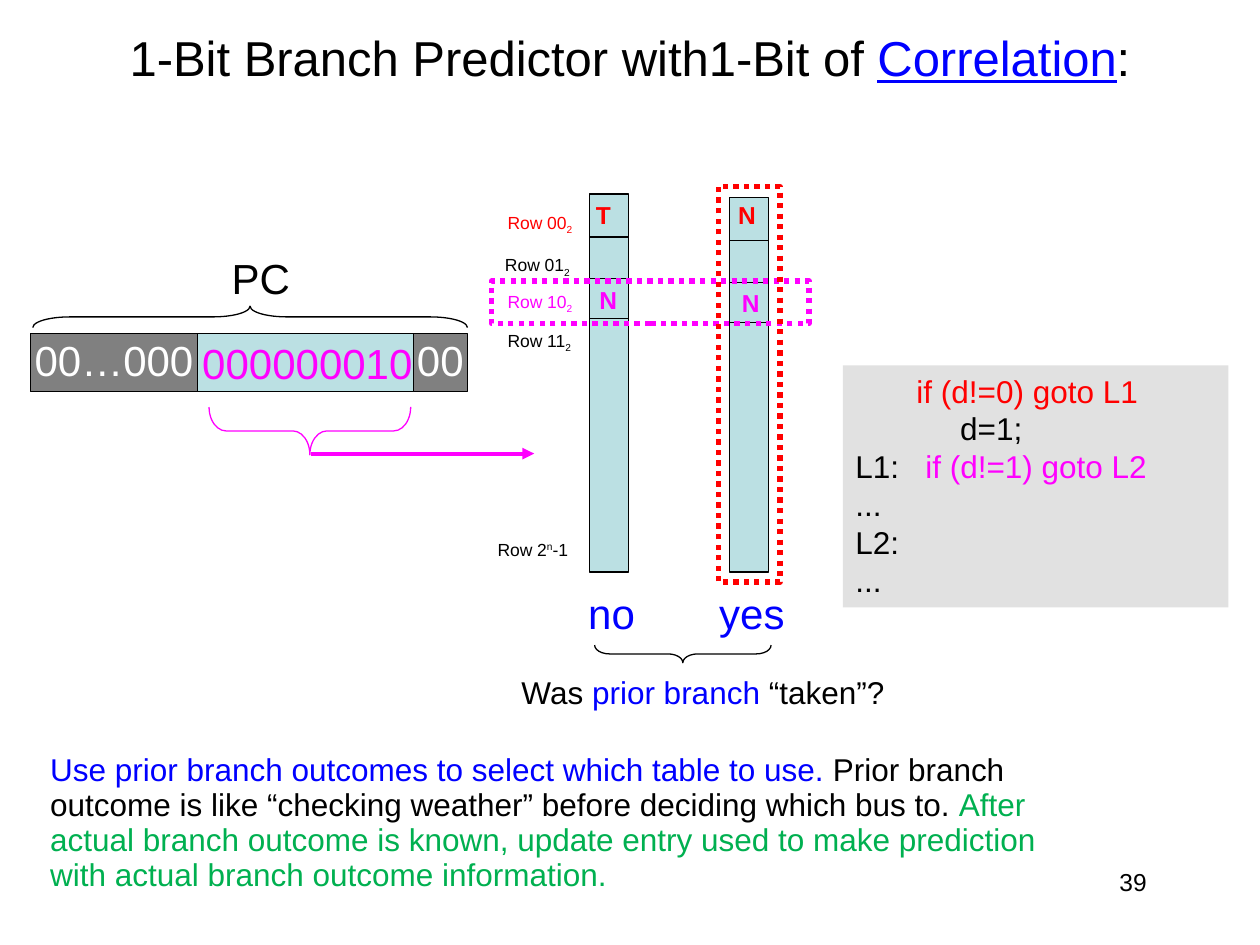
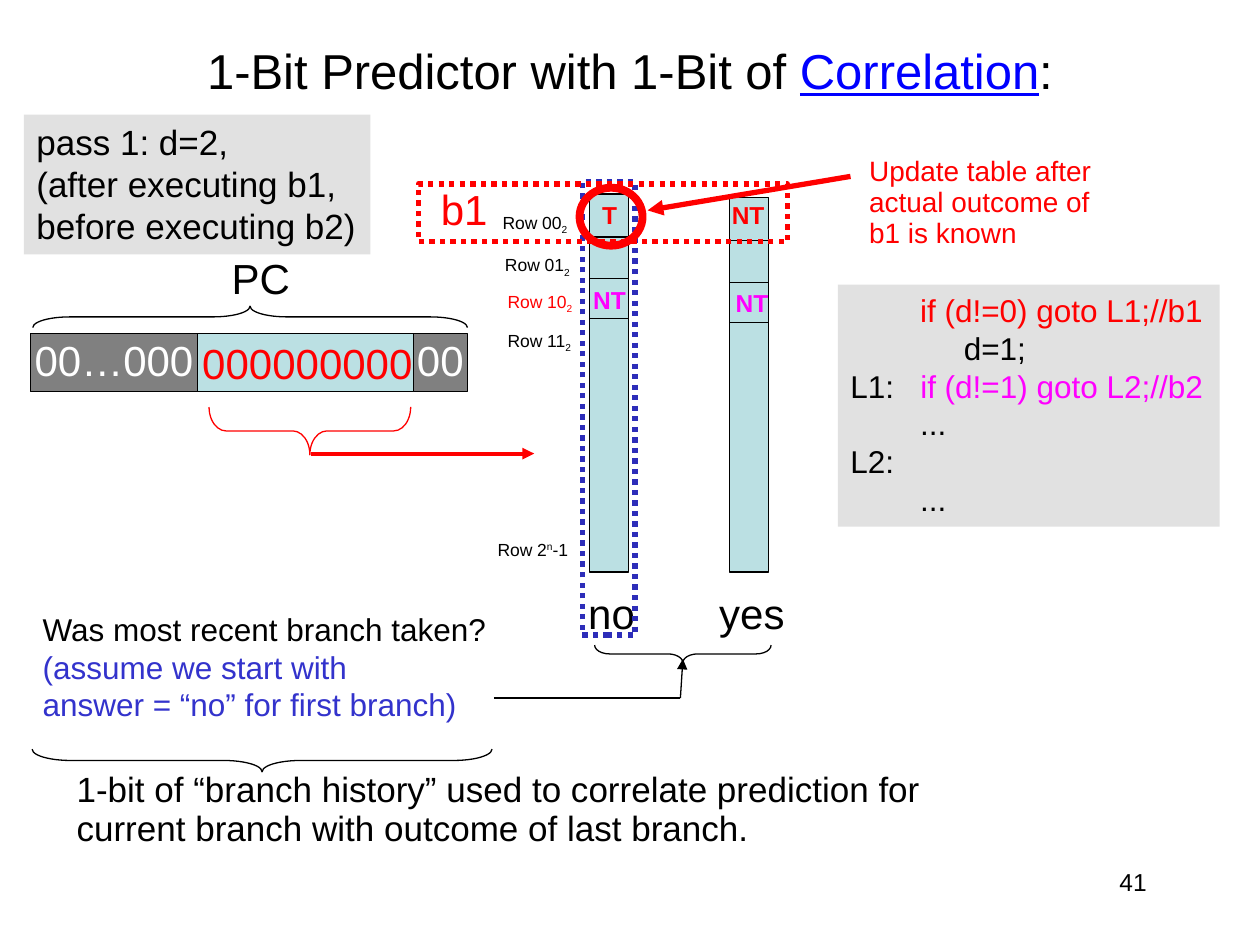
"""Build two slides on a 1-bit branch predictor with 1-bit of correlation."""
import pptx
import pptx.dml.color
import pptx.enum.dml
import pptx.enum.shapes
import pptx.enum.text
import pptx.oxml.ns
import pptx.util
from lxml import etree

Inches = pptx.util.Inches
Pt = pptx.util.Pt
RGBColor = pptx.dml.color.RGBColor
SHAPE = pptx.enum.shapes.MSO_SHAPE
ALIGN = pptx.enum.text.PP_ALIGN
ANCHOR = pptx.enum.text.MSO_ANCHOR
FIT = pptx.enum.text.MSO_AUTO_SIZE

FONT = "Arial"
BLACK = RGBColor(0x00, 0x00, 0x00)
WHITE = RGBColor(0xFF, 0xFF, 0xFF)
BLUE = RGBColor(0x00, 0x00, 0xFF)
NAVY = RGBColor(0x2D, 0x2D, 0xB9)
INDIGO = RGBColor(0x33, 0x33, 0xCC)
RED = RGBColor(0xFF, 0x00, 0x00)
MAGENTA = RGBColor(0xFF, 0x00, 0xFF)
GREEN = RGBColor(0x00, 0xB0, 0x50)
AQUA = RGBColor(0xBB, 0xE0, 0xE3)
GREY = RGBColor(0x80, 0x80, 0x80)
PALE = RGBColor(0xE1, 0xE1, 0xE1)

THIN = 0.75
TIGHT = 0.93
BASELINES = {"sub": "-25000", "sup": "30000"}

TABLES = [
    {"left": 4.68, "top": 1.54, "answer": "no", "answer_box": (4.57, 4.61, 0.57, 0.51)},
    {"left": 5.79, "top": 1.57, "answer": "yes", "answer_box": (5.61, 4.61, 0.72, 0.51)},
]
TABLE_WIDTH, TABLE_BOTTOM = 0.31, 4.54
DIVIDERS = (0.34, 0.67, 0.99)
ENTRY_TOPS = (1.54, 2.24)
ROW_LABELS = [
    (3.91, 1.97, "01"),
    (3.93, 2.26, "10"),
    (3.93, 2.57, "11"),
]

CORRELATED = {
    "title": "1-Bit Branch Predictor with1-Bit of ",
    "title_height": 0.9,
    "number": "39",
    "index": "000000010",
    "accent": MAGENTA,
    "answer_colour": BLUE,
    "first_row": (3.93, RED),
    "entries": [
        ("T", RED, 4.63, 1.54, 0.32), ("N", MAGENTA, 4.66, 2.21, 0.34),
        ("N", RED, 5.76, 1.54, 0.34), ("N", MAGENTA, 5.79, 2.24, 0.34),
    ],
    "code_box": (6.69, 2.9, 3.06, 1.92),
    "code": [
        [("       if (d!=0) goto L1", RED)],
        "            d=1;",
        ["L1:   ", ("if (d!=1) goto L2", MAGENTA)],
        "...", "L2:", "...",
    ],
    "frames": [((3.9, 2.23, 2.52, 0.34), MAGENTA), ((5.7, 1.48, 0.49, 3.14), RED)],
}
UPDATED = {
    "title": "1-Bit Predictor with 1-Bit of ",
    "title_height": 1.11,
    "number": "41",
    "index": "000000000",
    "accent": RED,
    "answer_colour": BLACK,
    "first_row": (3.89, BLACK),
    "entries": [
        ("T", RED, 4.68, 1.54, 0.32), ("NT", MAGENTA, 4.61, 2.21, 0.46),
        ("NT", RED, 5.71, 1.54, 0.46), ("NT", MAGENTA, 5.74, 2.24, 0.46),
    ],
    "code_box": (6.65, 2.26, 3.03, 1.92),
    "code": [
        [("        if (d!=0) goto L1;//b1", RED)],
        "             d=1;",
        ["L1:   ", ("if (d!=1) goto L2;//b2", MAGENTA)],
        "        ...", "L2:", "        ...",
    ],
    "frames": [((4.62, 1.44, 0.42, 3.6), NAVY), ((3.32, 1.46, 2.93, 0.46), RED)],
}

PRIOR_QUESTION = [["Was ", ("prior branch ", BLUE), "“taken”?"]]
PRIOR_NOTE = [[
    ("Use prior branch outcomes to select which table to use. ", BLUE),
    "Prior branch outcome is like “checking weather” before deciding which bus to. ",
    ("After actual branch outcome is known, update entry used to make prediction "
     "with actual branch outcome information.", GREEN),
]]
PASS_STATE = ["pass 1: d=2,", "(after executing b1,", "before executing b2)"]
UPDATE_NOTE = ["Update table after", "actual outcome of", "b1 is known"]
RECENT_QUESTION = [
    ["Was most recent branch taken? ", ("(assume we start with", INDIGO)],
    [("answer = “no” for first branch)", INDIGO)],
]
HISTORY_NOTE = ["1-bit of “branch history” used to correlate prediction for "
                "current branch with outcome of last branch."]


def write(frame, paragraphs, size, colour=BLACK, align=ALIGN.LEFT, spacing=None,
          bold=None, wrap=False):
    """Fill a text frame; a span is a string or (text, colour, style)."""
    frame.word_wrap = wrap
    for number, spans in enumerate(paragraphs):
        para = frame.paragraphs[0] if number == 0 else frame.add_paragraph()
        para.alignment = align
        if spacing:
            para.line_spacing = spacing
        spans = [spans] if isinstance(spans, str) else spans
        parts = [(span, None, None) if isinstance(span, str) else (*span, None)[:3]
                 for span in spans]
        shades = {shade or colour for _, shade, _ in parts}
        para.font.name, para.font.size, para.font.bold = FONT, Pt(size), bold
        para.font.color.rgb = shades.pop() if len(shades) == 1 else colour
        for text, shade, style in parts:
            run = para.add_run()
            run.text = text
            if shade and shade != para.font.color.rgb:
                run.font.color.rgb = shade
            if style == "underline":
                run.font.underline = True
            elif style:
                run.font._element.set("baseline", BASELINES[style])


def add_text(page, place, paragraphs, size, anchor=ANCHOR.TOP, fit=FIT.SHAPE_TO_FIT_TEXT,
             **style):
    """Add a text box."""
    box = page.shapes.add_textbox(*map(Inches, place))
    box.text_frame.auto_size = fit
    box.text_frame.vertical_anchor = anchor
    write(box.text_frame, paragraphs, size, **style)


def add_shape(page, kind, place, fill=None, line=None, width=THIN, dotted=False):
    """Add a preset shape without shadow."""
    shape = page.shapes.add_shape(kind, *map(Inches, place))
    shape.shadow.inherit = False
    if fill is None:
        shape.fill.background()
    else:
        shape.fill.solid()
        shape.fill.fore_color.rgb = fill
    if line is None:
        shape.line.fill.background()
    else:
        shape.line.color.rgb = line
        shape.line.width = Pt(width)
    if dotted:
        shape.line.dash_style = pptx.enum.dml.MSO_LINE.ROUND_DOT
    return shape


def add_panel(page, place, paragraphs, size, wrap):
    """Add a pale block of text."""
    frame = add_shape(page, SHAPE.RECTANGLE, place, PALE).text_frame
    frame.vertical_anchor = ANCHOR.TOP
    write(frame, paragraphs, size, wrap=wrap)


def add_brace(page, kind, place, curve, colour=BLACK):
    """Add a brace turned to lie flat."""
    brace = add_shape(page, kind, place, line=colour)
    brace.rotation = 270
    brace.adjustments[0] = curve


def add_line(page, start, end, colour=BLACK, width=THIN, arrow=False):
    """Add a straight line, with an arrowhead at its end if asked."""
    line = page.shapes.add_connector(pptx.enum.shapes.MSO_CONNECTOR.STRAIGHT,
                                     *map(Inches, (*start, *end)))
    line.line.color.rgb = colour
    line.line.width = Pt(width)
    qualify = pptx.oxml.ns.qn
    if arrow:
        etree.SubElement(line.line._get_or_add_ln(), qualify("a:tailEnd"), type="triangle")
    etree.SubElement(line._element.spPr, qualify("a:effectLst"))


def add_tables(page, content):
    """Draw both prediction tables with their rows, entries and answers."""
    for table in TABLES:
        left, top = table["left"], table["top"]
        add_shape(page, SHAPE.RECTANGLE, (left, top, TABLE_WIDTH, TABLE_BOTTOM - top),
                  AQUA, BLACK)
        for drop in DIVIDERS:
            add_line(page, (left, top + drop), (left + TABLE_WIDTH, top + drop))
        add_text(page, table["answer_box"], [table["answer"]], 24,
                 colour=content["answer_colour"])
    for place, colour in content["frames"]:
        add_shape(page, SHAPE.RECTANGLE, place, line=colour, width=3, dotted=True)
    for text, colour, left, top, width in content["entries"]:
        add_text(page, (left, top, width, 0.34), [text], 14, colour=colour, bold=True)

    first_left, first_colour = content["first_row"]
    for left, top, bits in [(first_left, 1.63, "00"), *ROW_LABELS]:
        colour = {"00": first_colour, "10": content["accent"]}.get(bits, BLACK)
        add_text(page, (left, top, 0.73, 0.26), [["Row " + bits, ("2", None, "sub")]], 10,
                 colour=colour, spacing=TIGHT)
    add_text(page, (3.85, 4.24, 0.78, 0.26), [["Row 2", ("n", None, "sup"), "-1"]], 10,
             spacing=TIGHT)
    add_brace(page, SHAPE.LEFT_BRACE, (5.35, 4.49, 0.14, 1.4), 0.842)


def add_counter(page, content):
    """Draw the program counter and the arrow from its index bits."""
    accent = content["accent"]
    segments = [
        (1.46, 1.96, content["index"], AQUA, accent, None),
        (0.24, 1.33, "00…000", GREY, WHITE, TIGHT),
        (3.28, 0.43, "00", GREY, WHITE, TIGHT),
    ]
    for left, width, bits, fill, colour, spacing in segments:
        segment = add_shape(page, SHAPE.RECTANGLE, (left, 2.65, width, 0.46), fill, BLACK)
        segment.text_frame.vertical_anchor = ANCHOR.MIDDLE
        write(segment.text_frame, [bits], 24, colour, ALIGN.CENTER, spacing)
    add_text(page, (1.74, 1.99, 0.67, 0.48), ["PC"], 24, spacing=TIGHT)
    add_brace(page, SHAPE.RIGHT_BRACE, (1.9, 0.79, 0.17, 3.45), 1.726)
    add_brace(page, SHAPE.LEFT_BRACE, (2.27, 2.62, 0.38, 1.6), 0.355, accent)
    add_line(page, (2.47, 3.6), (4.24, 3.6), accent, 2.25, arrow=True)


def add_page(deck, content):
    """Add a slide with everything the two slides share."""
    page = deck.slides.add_slide(deck.slide_layouts[6])
    add_text(page, (0.75, 0, 8.5, content["title_height"]),
             [[content["title"], ("Correlation", BLUE, "underline"), ":"]], 28,
             anchor=ANCHOR.MIDDLE, fit=FIT.NONE, align=ALIGN.CENTER, wrap=True)
    add_tables(page, content)
    add_counter(page, content)
    add_panel(page, content["code_box"], content["code"], 18, wrap=True)
    add_text(page, (7.17, 6.83, 2.03, 0.5), [content["number"]], 14, fit=FIT.NONE,
             align=ALIGN.RIGHT, wrap=True)
    return page


def main():
    """Build and save the deck."""
    deck = pptx.Presentation()
    deck.slide_width, deck.slide_height = Inches(10), Inches(7.5)

    page = add_page(deck, CORRELATED)
    add_text(page, (4.04, 5.29, 3.35, 0.41), PRIOR_QUESTION, 18, wrap=True)
    add_text(page, (0.3, 5.93, 8.48, 1.23), PRIOR_NOTE, 18, spacing=TIGHT, wrap=True)

    page = add_page(deck, UPDATED)
    add_panel(page, (0.19, 0.91, 2.75, 1.11), PASS_STATE, 20, wrap=False)
    add_text(page, (3.4, 1.44, 0.58, 0.48), ["b1"], 24, colour=RED, spacing=TIGHT)
    add_shape(page, SHAPE.OVAL, (4.6, 1.49, 0.5, 0.46), line=RED, width=4.5)
    add_text(page, (6.8, 1.19, 1.97, 0.85), UPDATE_NOTE, 16, colour=RED, spacing=TIGHT)
    add_line(page, (6.75, 1.4), (5.14, 1.67), RED, 3, arrow=True)
    add_text(page, (0.24, 4.79, 3.82, 1.01), RECENT_QUESTION, 18, wrap=True)
    add_brace(page, SHAPE.LEFT_BRACE, (1.99, 4.21, 0.18, 3.65), 1.686)
    add_text(page, (0.51, 6.07, 7.24, 0.73), HISTORY_NOTE, 20, spacing=TIGHT, wrap=True)
    add_line(page, (3.92, 5.54), (5.4, 5.54))
    add_line(page, (5.4, 5.54), (5.42, 5.23), arrow=True)

    deck.save("out.pptx")


if __name__ == "__main__":
    main()
